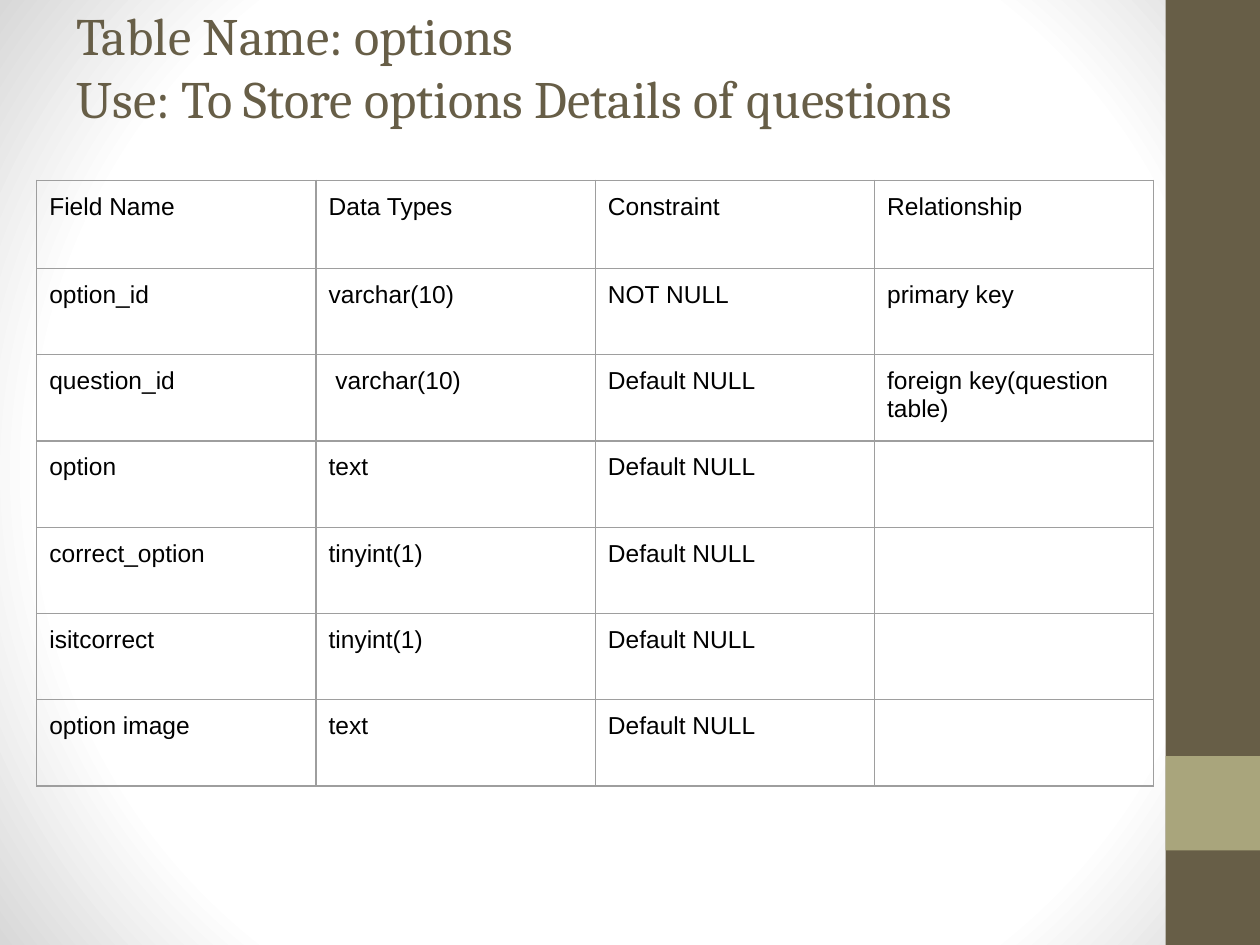
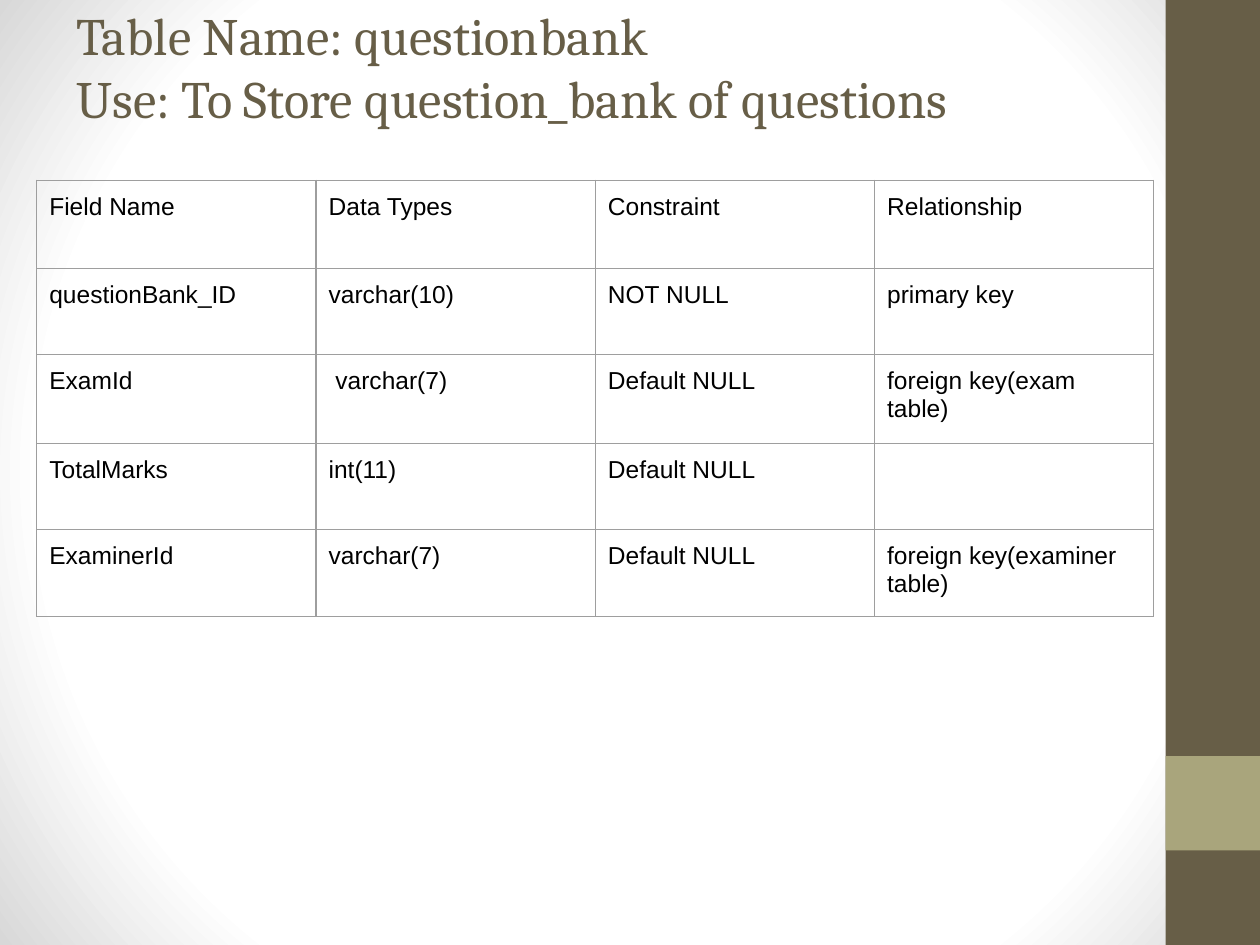
import pptx
import pptx.dml.color
import pptx.enum.shapes
import pptx.enum.text
import pptx.oxml
import pptx.oxml.ns
import pptx.util

Pt = pptx.util.Pt
COLORS = {"brown": "675E47", "olive": "A9A57C", "black": "000000",
          "grid": "9E9E9E", "white": "FFFFFF", "edge": "D8D8D8"}
NS = pptx.oxml.ns.nsdecls("a")

WIDTH, HEIGHT = 720, 540
BAND = (666, 0, 54, HEIGHT)
TITLE_BOX = (36.7, 1.5, 600, 101.5)
TABLE_BOX = (21, 103, 638.4)
HEADER_HEIGHT, ROW_HEIGHT = 50.4, 49.3
INSET = 7.2

HEADER = ("Field Name", "Data Types", "Constraint", "Relationship")
TABLES = [
    {"title": ("Table Name: options",
               "Use: To Store options Details of questions"),
     "rows": [
         ("option_id", "varchar(10)", "NOT NULL", "primary key"),
         ("question_id", " varchar(10)", "Default NULL", "foreign key(question table)"),
         ("option", "text", "Default NULL", ""),
         ("correct_option", "tinyint(1)", "Default NULL", ""),
         ("isitcorrect", "tinyint(1)", "Default NULL", ""),
         ("option image", "text", "Default NULL", "")],
     "heights": {}},
    {"title": ("Table Name: questionbank",
               "Use: To Store question_bank of questions"),
     "rows": [
         ("questionBank_ID", "varchar(10)", "NOT NULL", "primary key"),
         ("ExamId", " varchar(7)", "Default NULL", "foreign key(exam table)"),
         ("TotalMarks", "int(11)", "Default NULL", ""),
         ("ExaminerId", "varchar(7)", "Default NULL", "foreign key(examiner table)")],
     "heights": {2: 50.8}},
]


def rgb(name):
    return pptx.dml.color.RGBColor.from_string(COLORS[name])


def write(tf, *lines, font="Arial", size=14, color="black", spacing=None):
    """Put each line in its own left-aligned paragraph."""
    for i, line in enumerate(lines):
        p = tf.add_paragraph() if i else tf.paragraphs[0]
        p.alignment = pptx.enum.text.PP_ALIGN.LEFT
        if spacing:
            p.line_spacing = Pt(spacing)
        r = p.add_run()
        r.text = line
        r.font.name, r.font.size = font, Pt(size)
        r.font.color.rgb = rgb(color)


def set_background(master):
    """Radial gradient, white in the middle and grey at the corners."""
    master.background.fill.solid()
    stops = "".join(
        f'<a:gs pos="{pos * 1000}"><a:srgbClr val="{COLORS[name]}"/></a:gs>'
        for pos, name in ((0, "white"), (75, "white"), (100, "edge")))
    gradient = pptx.oxml.parse_xml(
        f'<a:gradFill {NS} rotWithShape="1"><a:gsLst>{stops}</a:gsLst>'
        '<a:path path="circle"><a:fillToRect l="50000" t="50000" r="50000" b="50000"/>'
        '</a:path></a:gradFill>')
    solid = master.element.xpath("./p:cSld/p:bg/p:bgPr/a:solidFill")[0]
    solid.getparent().replace(solid, gradient)


def add_side_band(slide, master, box):
    """Build the band with its square accent, then move both to the master."""
    x, y, w, h = box
    parts = ((y, h, "brown"), (y + h - 2 * w, w, "olive"))
    tree = master.shapes.element if hasattr(master.shapes, "element") \
        else master.element.xpath("./p:cSld/p:spTree")[0]
    for i, (top, height, color) in enumerate(parts):
        sp = slide.shapes.add_shape(pptx.enum.shapes.MSO_SHAPE.RECTANGLE,
                                    Pt(x), Pt(top), Pt(w), Pt(height))
        sp.shadow.inherit = False
        sp.fill.solid()
        sp.fill.fore_color.rgb = rgb(color)
        sp.line.fill.background()
        tree.insert(2 + i, sp.element if hasattr(sp, "element") else sp._element)


def add_title(slide, lines, box):
    title = slide.shapes.title
    title.left, title.top, title.width, title.height = map(Pt, box)
    tf = title.text_frame
    tf.word_wrap = True
    tf.auto_size = pptx.enum.text.MSO_AUTO_SIZE.NONE
    tf.vertical_anchor = pptx.enum.text.MSO_ANCHOR.TOP
    tf.margin_left = tf.margin_right = tf.margin_bottom = Pt(INSET)
    tf.margin_top = 0
    write(tf, *lines, font="Cambria", size=30, color="brown", spacing=36)


def format_cell(cell):
    cell.margin_left = cell.margin_right = Pt(INSET)
    cell.margin_top = cell.margin_bottom = Pt(INSET)
    tc_pr = cell._tc.get_or_add_tcPr()
    for side in "LRTB":
        tc_pr.append(pptx.oxml.parse_xml(
            f'<a:ln{side} {NS} w="{Pt(0.75)}"><a:solidFill>'
            f'<a:srgbClr val="{COLORS["grid"]}"/></a:solidFill></a:ln{side}>'))
    cell.fill.background()


def add_field_table(slide, records, heights, box):
    x, y, w = box
    rows = [HEADER, *records]
    sizes = [heights.get(i, ROW_HEIGHT if i else HEADER_HEIGHT)
             for i in range(len(rows))]
    table = slide.shapes.add_table(len(rows), len(HEADER), Pt(x), Pt(y),
                                   Pt(w), Pt(sum(sizes))).table
    table.first_row = table.horz_banding = False
    for column in table.columns:
        column.width = Pt(w / len(HEADER))
    for i, (values, size) in enumerate(zip(rows, sizes)):
        table.rows[i].height = Pt(size)
        for cell, value in zip(table.rows[i].cells, values):
            format_cell(cell)
            if value:
                write(cell.text_frame, value)


def main():
    prs = pptx.Presentation()
    prs.slide_width, prs.slide_height = Pt(WIDTH), Pt(HEIGHT)
    slides = [prs.slides.add_slide(prs.slide_layouts[5]) for _ in TABLES]

    # Shared background and band
    set_background(prs.slide_master)
    add_side_band(slides[0], prs.slide_master, BAND)

    # One slide for each database table
    for slide, spec_table in zip(slides, TABLES):
        add_title(slide, spec_table["title"], TITLE_BOX)
        add_field_table(slide, spec_table["rows"], spec_table["heights"], TABLE_BOX)

    prs.save("out.pptx")


if __name__ == "__main__":
    main()
